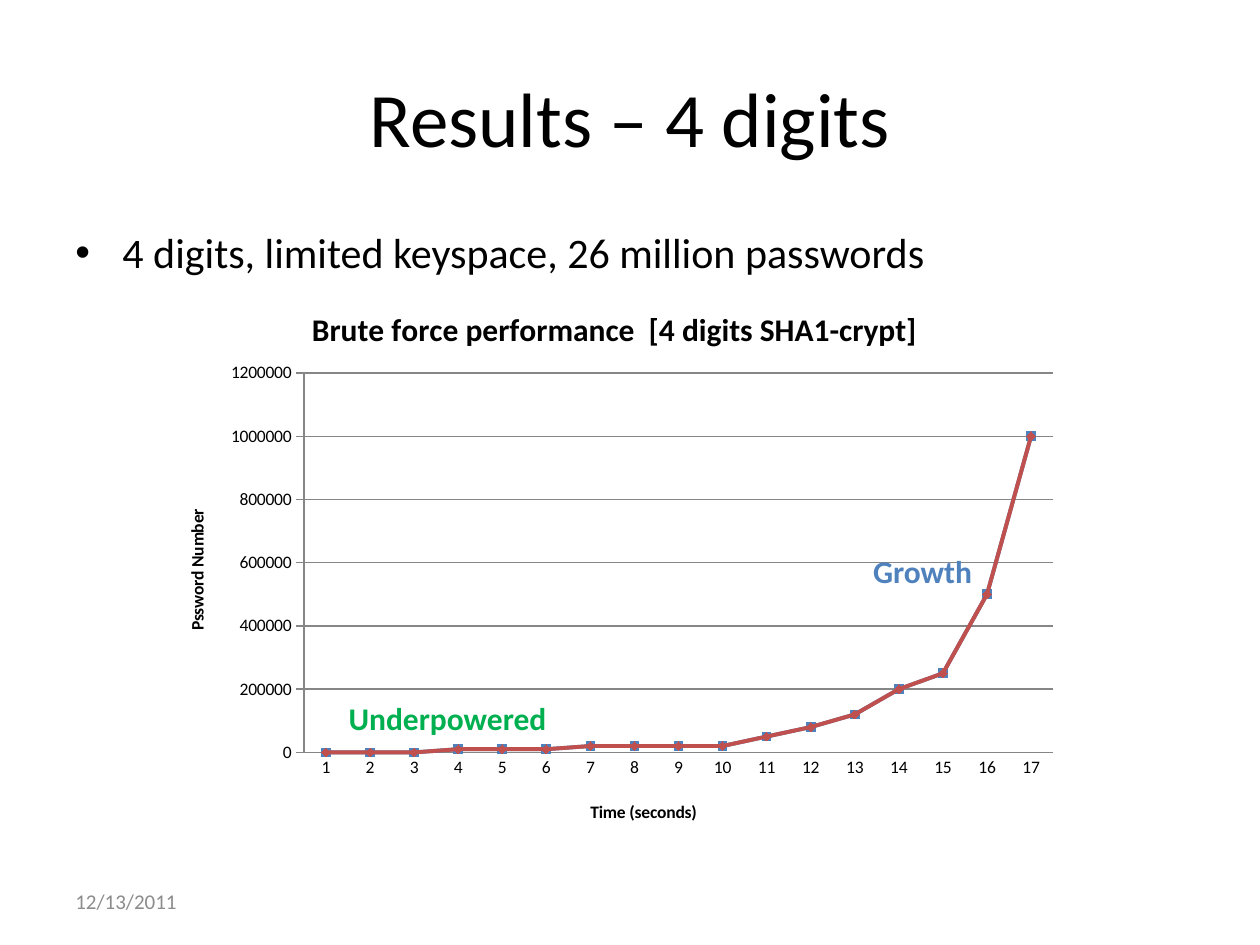
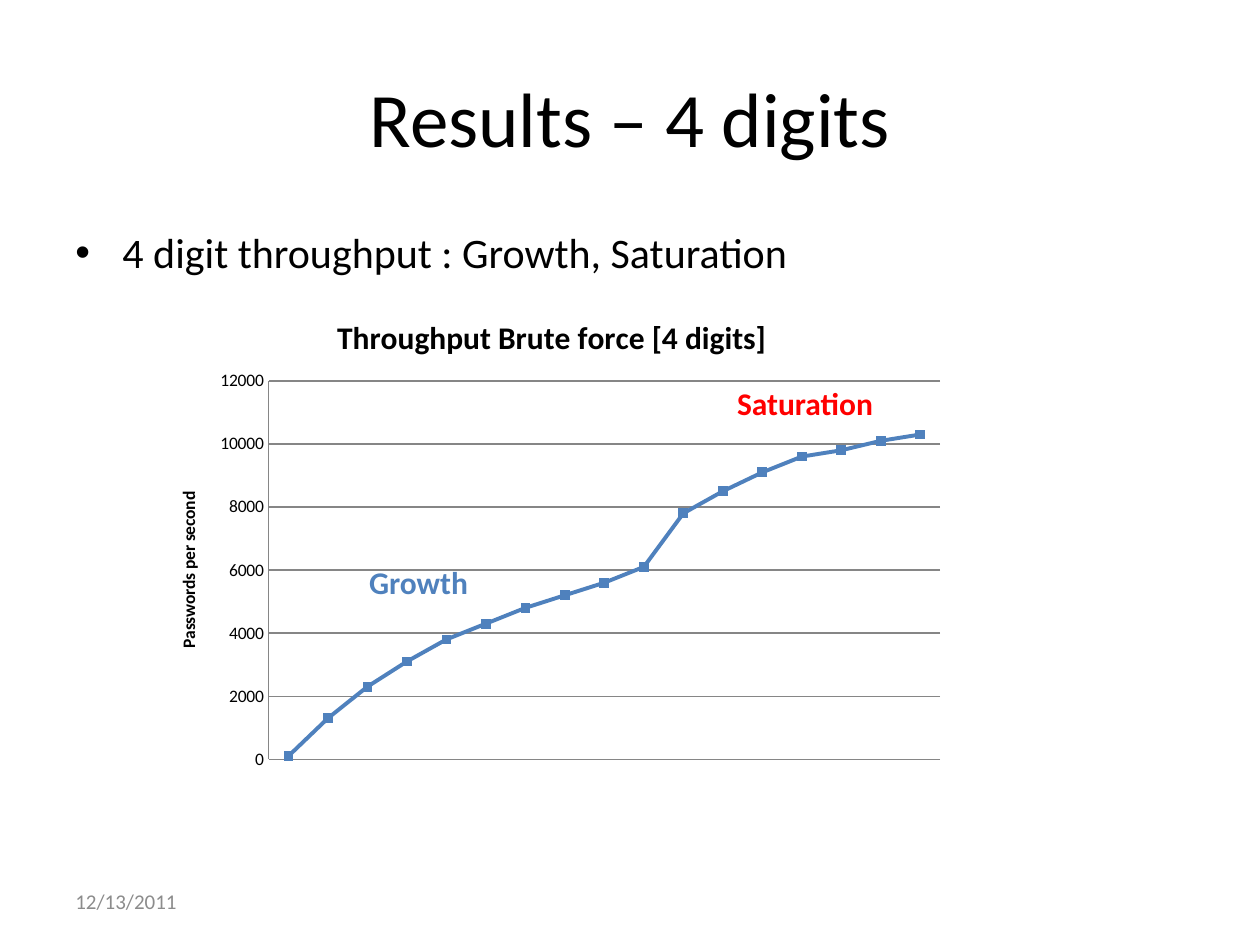
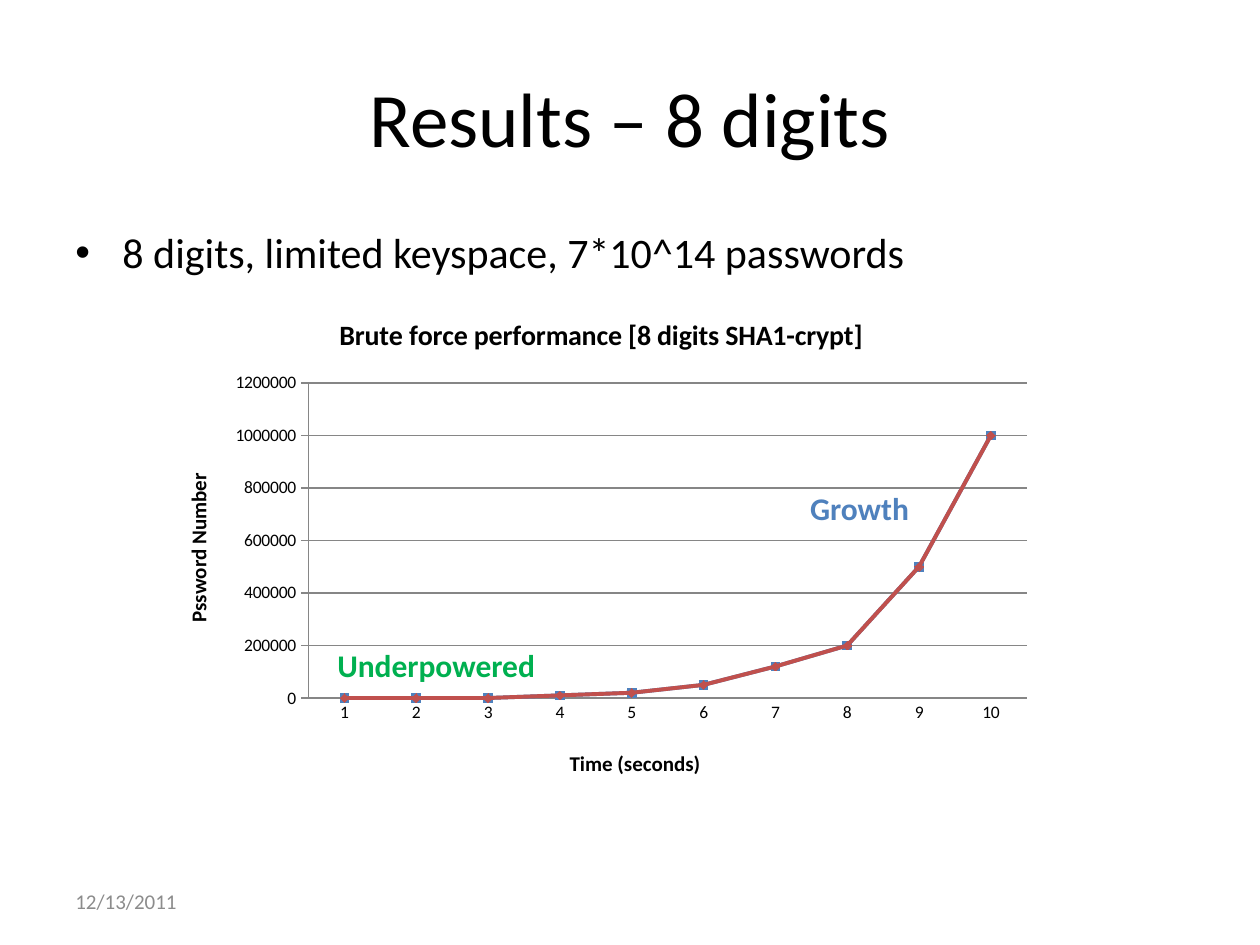
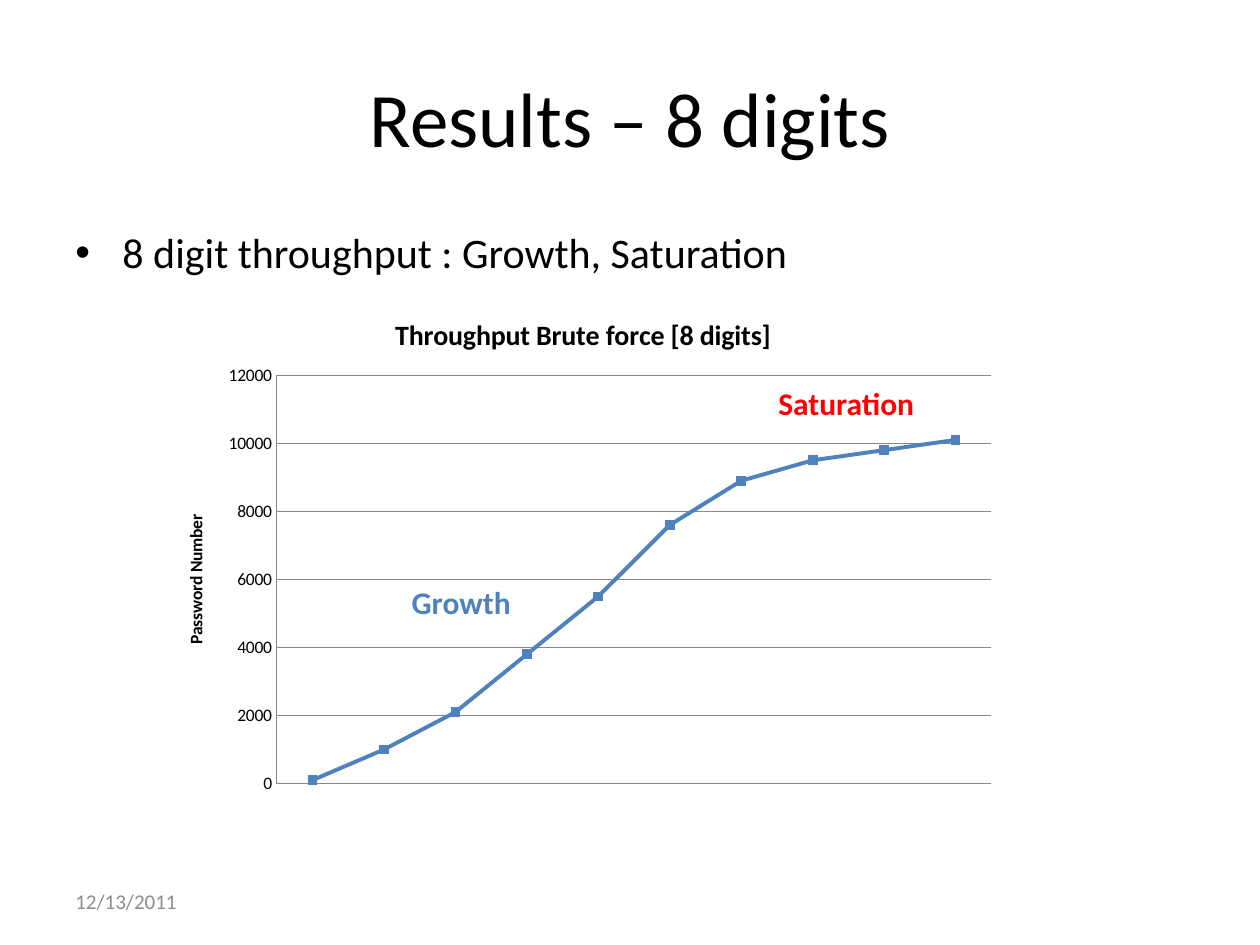
import dataclasses

import pptx
import pptx.chart.data
import pptx.dml.color
import pptx.enum.chart
import pptx.enum.text
import pptx.oxml
import pptx.oxml.ns
import pptx.util

Cm = pptx.util.Cm
Pt = pptx.util.Pt
qn = pptx.oxml.ns.qn


@dataclasses.dataclass(frozen=True)
class Theme:
    """Colours, font and type sizes shared by all slides."""
    font: str = "Calibri"
    black: str = "000000"
    grey: str = "8C8C8C"
    grid: str = "868686"
    blue: str = "4F81BD"
    red: str = "C0504D"
    green: str = "00B050"
    alert: str = "FF0000"
    title_size: int = 44
    body_size: int = 24
    label_size: int = 18
    date_size: int = 12
    chart_size: int = 10


THEME = Theme()
# Phase labels: colour and box width in centimetres
PHASES = {
    "Underpowered": (THEME.green, 4.88),
    "Growth": (THEME.blue, 2.54),
    "Saturation": (THEME.alert, 3.81),
}


def rgb(colour):
    """Turn a hex string into a colour."""
    return pptx.dml.color.RGBColor.from_string(colour)


def format_font(font, size, colour=THEME.black, bold=False):
    """Apply the theme font with a size, colour and weight."""
    font.name = THEME.font
    font.size = Pt(size)
    font.bold = bold
    font.color.rgb = rgb(colour)


def add_text(page, text, left, top, width, height, size, colour=THEME.black,
             bold=False, align="LEFT", anchor="TOP", bullet=False):
    """Add a text box holding one formatted paragraph."""
    box = page.shapes.add_textbox(Cm(left), Cm(top), Cm(width), Cm(height))
    box.text_frame.word_wrap = True
    box.text_frame.vertical_anchor = getattr(pptx.enum.text.MSO_ANCHOR, anchor)
    para = box.text_frame.paragraphs[0]
    para.alignment = getattr(pptx.enum.text.PP_ALIGN, align)
    span = para.add_run()
    span.text = text
    format_font(span.font, size, colour, bold)
    if bullet:
        add_bullet(para, size)
    return box


def add_bullet(para, size):
    """Give a paragraph a hanging bullet and a fifth of a line above it."""
    para.space_before = Pt(size * 0.2)
    properties = para._p.get_or_add_pPr()
    properties.set("marL", str(Cm(0.95)))
    properties.set("indent", str(-Cm(0.95)))
    for tag, name, value in (("a:buFont", "typeface", "Arial"),
                             ("a:buChar", "char", "•")):
        mark = pptx.oxml.parse_xml(f"<{tag} {pptx.oxml.ns.nsdecls('a')}/>")
        mark.set(name, value)
        properties.append(mark)


def place(element, index, **fractions):
    """Fix a chart part at fractions of the chart area."""
    old = element.find(qn("c:layout"))
    if old is not None:
        element.remove(old)
    values = {"xMode": "edge", "yMode": "edge", **fractions}
    if "w" in fractions:
        values = {"layoutTarget": "inner", **values}
    parts = "".join(f'<c:{key} val="{value}"/>' for key, value in values.items())
    element.insert(index, pptx.oxml.parse_xml(
        f"<c:layout {pptx.oxml.ns.nsdecls('c')}>"
        f"<c:manualLayout>{parts}</c:manualLayout></c:layout>"))


def set_title(owner, text, size):
    """Give a chart or an axis a bold title."""
    owner.has_title = True
    title = owner.chart_title if hasattr(owner, "chart_title") else owner.axis_title
    span = title.text_frame.paragraphs[0].add_run()
    span.text = text
    format_font(span.font, size, bold=True)
    return title


def style_series(series, colour, marker):
    """Draw a series as straight lines with small markers."""
    series.smooth = False
    series.format.line.color.rgb = rgb(colour)
    series.format.line.width = Pt(2.25)
    series.marker.style = marker
    series.marker.size = 5
    series.marker.format.fill.solid()
    series.marker.format.fill.fore_color.rgb = rgb(colour)
    series.marker.format.line.color.rgb = rgb(colour)


def add_line_chart(page, title, value_title, series_values, box, plot, top_value,
                   title_size=18, axis_size=THEME.chart_size, time_at=None):
    """Add a stacked line chart; time_at places the time title, if any."""
    data = pptx.chart.data.CategoryChartData()
    data.categories = [str(i + 1) for i in range(len(series_values[0]))]
    for number, values in enumerate(series_values, 1):
        data.add_series(f"Series {number}", values)
    chart = page.shapes.add_chart(
        pptx.enum.chart.XL_CHART_TYPE.LINE_MARKERS_STACKED,
        *(Cm(length) for length in box), data).chart
    format_font(chart.font, THEME.chart_size)
    chart.has_legend = False
    set_title(chart, title, title_size)
    chart.plots[0].vary_by_categories = False

    styles = pptx.enum.chart.XL_MARKER_STYLE
    looks = ((THEME.blue, styles.SQUARE), (THEME.red, styles.DIAMOND))
    for series, (colour, marker) in zip(chart.plots[0].series, looks):
        style_series(series, colour, marker)

    ticks = pptx.enum.chart.XL_TICK_MARK
    value_axis, time_axis = chart.value_axis, chart.category_axis
    set_title(value_axis, value_title, axis_size)
    value_axis.minimum_scale = 0
    value_axis.maximum_scale = top_value
    value_axis.major_unit = top_value / 6
    value_axis.major_tick_mark = ticks.CROSS if time_at else ticks.NONE
    time_axis.major_tick_mark = ticks.NONE
    value_axis.has_major_gridlines = True
    for line in (value_axis.major_gridlines.format.line,
                 value_axis.format.line, time_axis.format.line):
        line.color.rgb = rgb(THEME.grid)
        line.width = Pt(0.75)
    if time_at:
        time_title = set_title(time_axis, "Time (seconds)", axis_size)
        place(time_title.element, 1, x=time_at[0], y=time_at[1])
    else:
        time_axis.visible = False
    place(chart.element.xpath(".//c:plotArea")[0], 0, **dict(zip("xywh", plot)))


def add_phase(page, name, left, top):
    """Label a phase of the curve."""
    colour, width = PHASES[name]
    add_text(page, name, left, top, width, 1.02, THEME.label_size, colour, bold=True)


def add_page(deck, title, bullet):
    """Add a slide with its title, bullet line and date."""
    page = deck.slides.add_slide(deck.slide_layouts[6])
    add_text(page, title, 1.27, 0.76, 22.86, 3.18, THEME.title_size,
             align="CENTER", anchor="MIDDLE")
    add_text(page, bullet, 1.27, 4.45, 22.86, 12.57, THEME.body_size, bullet=True)
    add_text(page, "12/13/2011", 1.27, 17.65, 5.92, 1.02, THEME.date_size,
             THEME.grey, anchor="MIDDLE")
    return page


def main():
    """Build the four result slides."""
    deck = pptx.Presentation()
    deck.slide_width, deck.slide_height = Cm(25.4), Cm(19.05)

    page = add_page(deck, "Results – 4 digits",
                    "4 digits, limited keyspace, 26 million passwords")
    counts = [0] * 3 + [10000] * 3 + [20000] * 4 + [
        50000, 80000, 120000, 200000, 250000, 500000, 1000000]
    add_line_chart(page, "Brute force performance  [4 digits SHA1-crypt]",
                   "Pssword Number", [counts, [0] * len(counts)],
                   box=(3.18, 5.72, 18.42, 11.25), plot=(0.16, 0.16, 0.82, 0.68),
                   top_value=1200000, time_at=(0.47, 0.92))
    add_phase(page, "Underpowered", 6.78, 13.97)
    add_phase(page, "Growth", 17.35, 11)

    page = add_page(deck, "Results – 4 digits",
                    "4 digit throughput : Growth, Saturation")
    rates = [100, 1300, 2300, 3100, 3800, 4300, 4800, 5200, 5600, 6100, 7800,
             8500, 9100, 9600, 9800, 10100, 10300]
    add_line_chart(page, "Throughput Brute force [4 digits]",
                   "Passwords per second", [rates],
                   box=(2.97, 5.92, 16.31, 9.78), plot=(0.15, 0.18, 0.83, 0.78),
                   top_value=12000)
    add_phase(page, "Growth", 7.19, 11.23)
    add_phase(page, "Saturation", 14.61, 7.62)

    page = add_page(deck, "Results – 8 digits",
                    "8 digits, limited keyspace, 7*10^14 passwords")
    counts = [0] * 3 + [10000, 20000, 50000, 120000, 200000, 500000, 1000000]
    add_line_chart(page, "Brute force performance [8 digits SHA1-crypt]",
                   "Pssword Number", [counts, [0] * len(counts)],
                   box=(3.18, 5.92, 17.88, 10.59), plot=(0.17, 0.17, 0.81, 0.6),
                   top_value=1200000, title_size=16, axis_size=12,
                   time_at=(0.46, 0.86))
    add_phase(page, "Underpowered", 6.55, 12.9)
    add_phase(page, "Growth", 16.08, 9.73)

    page = add_page(deck, "Results – 8 digits",
                    "8 digit throughput : Growth, Saturation")
    rates = [100, 1000, 2100, 3800, 5500, 7600, 8900, 9500, 9800, 10100]
    add_line_chart(page, "Throughput Brute force [8 digits]",
                   "Password Number", [rates],
                   box=(3.18, 5.92, 17.15, 10.29), plot=(0.14, 0.16, 0.84, 0.8),
                   top_value=12000, title_size=16)
    add_phase(page, "Growth", 8.05, 11.63)
    add_phase(page, "Saturation", 15.44, 7.62)

    deck.save("out.pptx")


main()
